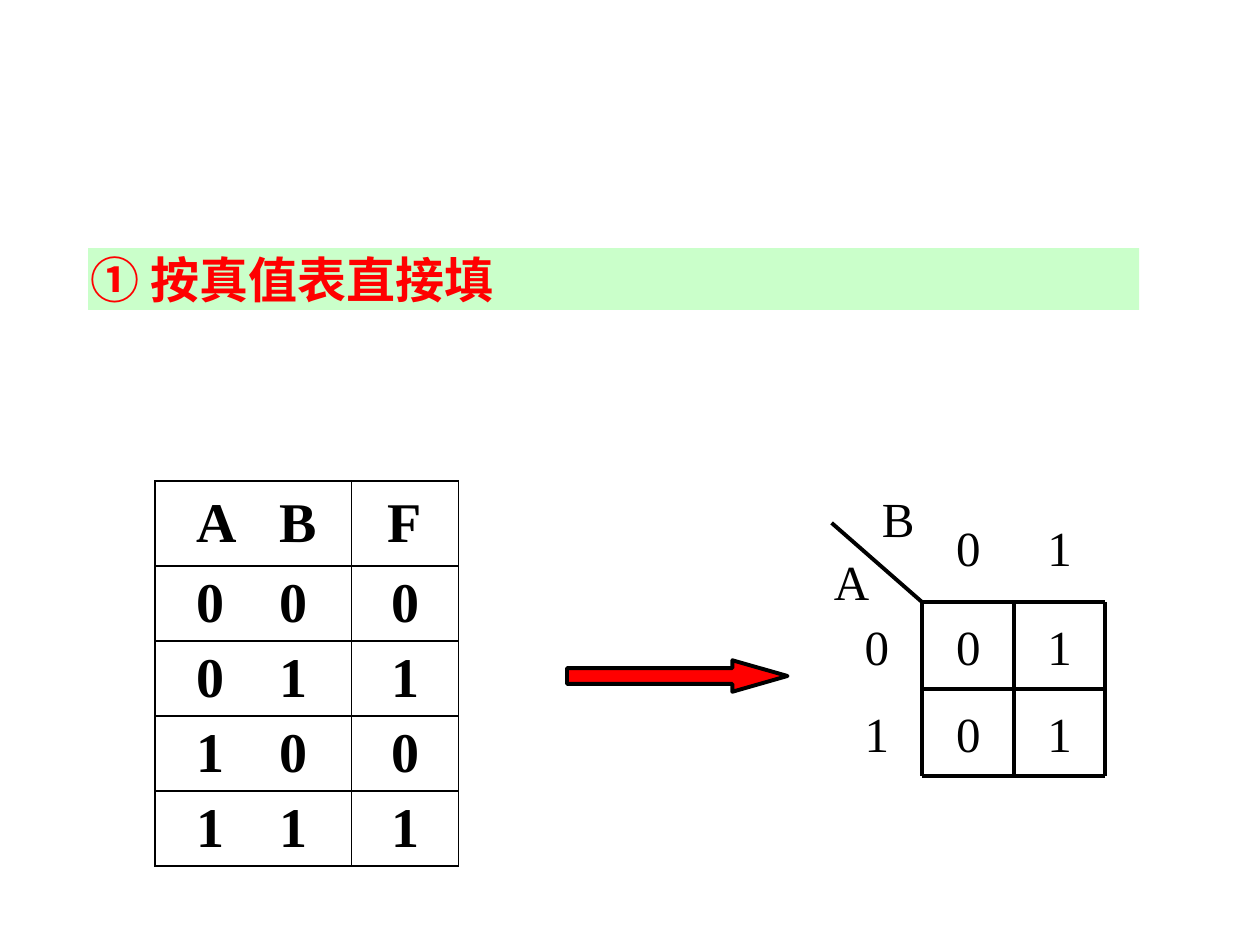
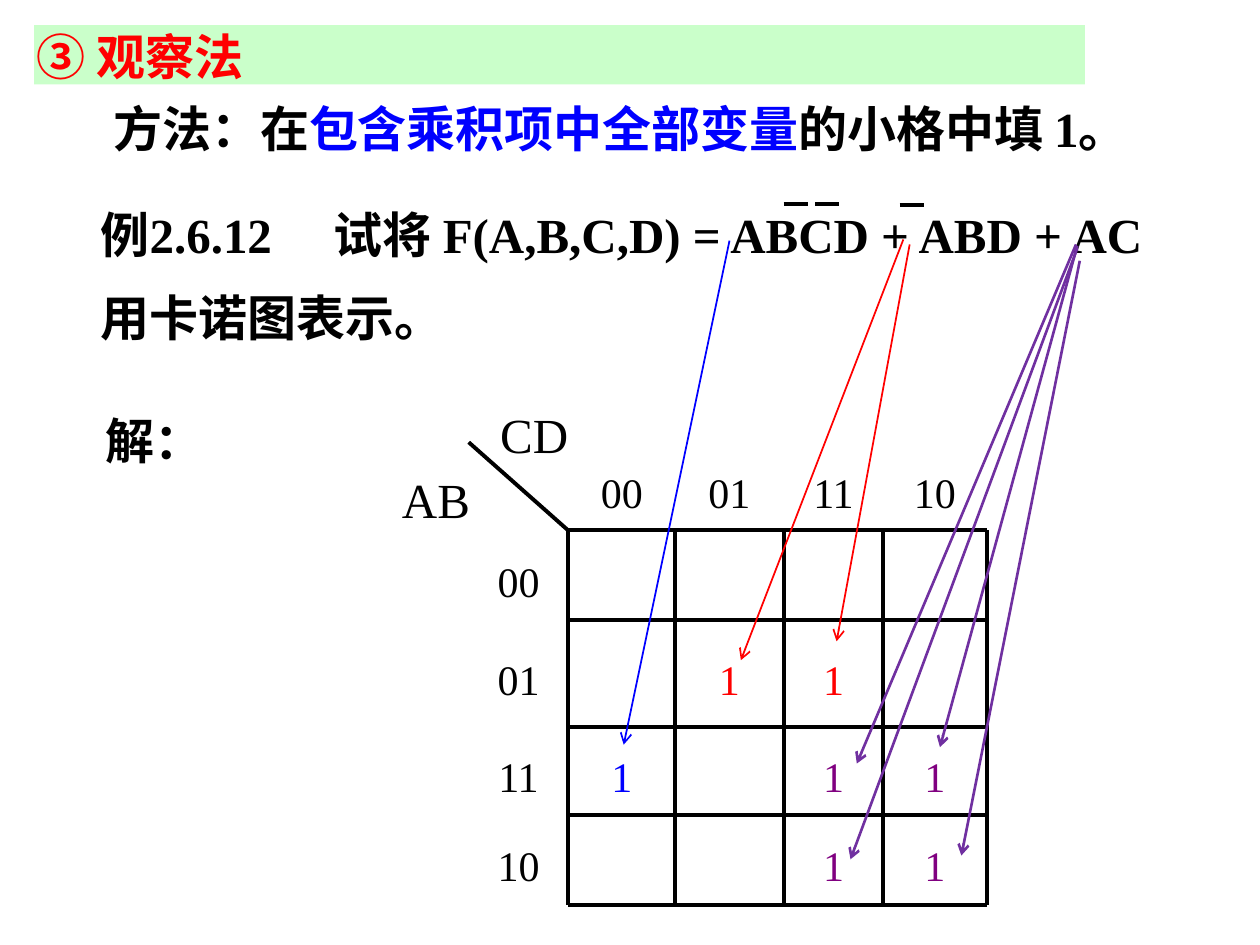
import itertools

import pptx
import pptx.dml.color
import pptx.enum.shapes
import pptx.enum.text
import pptx.oxml
import pptx.oxml.ns
import pptx.util

Inches = pptx.util.Inches
Pt = pptx.util.Pt
qn = pptx.oxml.ns.qn
ALIGN = pptx.enum.text.PP_ALIGN
ANCHOR = pptx.enum.text.MSO_ANCHOR

FONT = "Times New Roman"
COLORS = {
    "ink": "000000",
    "band": "CAFFCA",
    "red": "FF0000",
    "blue": "0000FF",
    "purple": "800080",
    "violet": "7030A0",
}


def rgb(name):
    return pptx.dml.color.RGBColor.from_string(COLORS[name])


def element(tag, parent, **attrs):
    el = parent.makeelement(qn(tag), attrs)
    parent.append(el)
    return el


def set_insets(target, x, y):
    target.margin_left = target.margin_right = Inches(x)
    target.margin_top = target.margin_bottom = Inches(y)


def style_run(r, size, color="ink", bold=False):
    r.font.name = FONT
    r.font.size = Pt(size)
    r.font.bold = bold
    r.font.color.rgb = rgb(color)


def add_tab(p, position):
    tabs = element("a:tabLst", p._p.get_or_add_pPr())
    element("a:tab", tabs, pos=str(Inches(position)), algn="l")


def add_text(s, box, parts, size=28, bold=False, insets=(0.02, 0),
             align=ALIGN.LEFT, anchor=ANCHOR.TOP, spacing=None, tab=None):
    tf = s.shapes.add_textbox(*map(Inches, box)).text_frame
    tf.word_wrap = True
    tf.vertical_anchor = anchor
    set_insets(tf, *insets)
    p = tf.paragraphs[0]
    p.alignment = align
    if spacing:
        p.line_spacing = spacing
    if tab:
        add_tab(p, tab)
    for text, color in parts:
        r = p.add_run()
        r.text = text
        style_run(r, size, color, bold)


def add_line(s, start, end, color="ink", width=2.25, arrow=False):
    c = s.shapes.add_connector(pptx.enum.shapes.MSO_CONNECTOR.STRAIGHT,
                               *map(Inches, (*start, *end)))
    c.line.color.rgb = rgb(color)
    c.line.width = Pt(width)
    sp_pr = c.element.spPr
    if arrow:
        element("a:tailEnd", sp_pr.find(qn("a:ln")), type="arrow")
    element("a:effectLst", sp_pr)


def add_titled_slide(prs, title, box):
    s = prs.slides.add_slide(prs.slide_layouts[5])
    sp = s.shapes.title
    sp.left, sp.top, sp.width, sp.height = map(Inches, box)
    sp.fill.solid()
    sp.fill.fore_color.rgb = rgb("band")
    tf = sp.text_frame
    tf.text = title
    tf.auto_size = pptx.enum.text.MSO_AUTO_SIZE.NONE
    tf.vertical_anchor = ANCHOR.TOP
    set_insets(tf, 0.02, 0.01)
    p = tf.paragraphs[0]
    p.alignment = ALIGN.LEFT
    style_run(p.runs[0], 28, "red", True)
    return s


def add_truth_table(s, left, top, rows):
    widths, heights = (1.56, 0.85), (0.67, 0.6, 0.58, 0.58, 0.58)
    frame = s.shapes.add_table(len(rows), 2, *map(
        Inches, (left, top, sum(widths), sum(heights))))
    table = frame.table
    table.first_row = table.horz_banding = False
    for column, width in zip(table.columns, widths):
        column.width = Inches(width)
    for row, height in zip(table.rows, heights):
        row.height = Inches(height)
    for i, (inputs, output) in enumerate(rows):
        for j, text in enumerate(("\t".join(inputs), output)):
            cell = table.cell(i, j)
            tc_pr = cell._tc.get_or_add_tcPr()
            for side in "LRTB":
                ln = element(f"a:ln{side}", tc_pr, w=str(Pt(1.08)))
                element("a:srgbClr", element("a:solidFill", ln), val=COLORS["ink"])
            cell.fill.background()
            cell.vertical_anchor = ANCHOR.MIDDLE
            set_insets(cell, 0.02, 0.05)
            cell.text = text
            p = cell.text_frame.paragraphs[0]
            if j == 0:
                cell.margin_left = Inches(0.33)
                add_tab(p, 0.66)
            else:
                p.alignment = ALIGN.CENTER
            style_run(p.runs[0], 32, bold=True)


def add_karnaugh_map(s, left, top, widths, heights, codes, ones, corner,
                     size, spacing=None, diagonal_drop=0, corner_insets=(0.02, 0)):
    xs = list(itertools.accumulate(widths, initial=left))
    ys = list(itertools.accumulate(heights, initial=top))
    entries = dict(ones)
    for i, code in enumerate(codes, 1):
        entries[0, i] = entries[i, 0] = (code, "ink")
    for (row, col), entry in entries.items():
        add_text(s, (xs[col], ys[row], widths[col], heights[row]), [entry],
                 size, insets=(0.02, 0.02), align=ALIGN.CENTER,
                 anchor=ANCHOR.MIDDLE, spacing=spacing)
    for x in xs[1:]:
        add_line(s, (x, ys[1]), (x, ys[-1]))
    for y in ys[1:]:
        add_line(s, (xs[1], y), (xs[-1], y))
    add_line(s, (left, top + diagonal_drop), (xs[1], ys[1]))
    for name, dx, dy, width, height in corner:
        add_text(s, (left + dx, top + dy, width, height), [(name, "ink")],
                 insets=corner_insets)


def add_result_arrow(s, left, top, width, height):
    sp = s.shapes.add_shape(pptx.enum.shapes.MSO_SHAPE.RIGHT_ARROW,
                            *map(Inches, (left, top, width, height)))
    sp.adjustments[0], sp.adjustments[1] = 0.5, 1.75
    sp.shadow.inherit = False
    sp.fill.solid()
    sp.fill.fore_color.rgb = rgb("red")
    sp.line.color.rgb = rgb("ink")
    sp.line.width = Pt(2.25)


def add_example(s, left, top):
    question = "例2.6.12\t试将 F(A,B,C,D) = ABCD + ABD + AC 用卡诺图表示。"
    add_text(s, (left, top, 8.3, 1.31), [(question, "ink")], bold=True,
             insets=(0, 0), spacing=1.4, tab=1.85)
    for dx, dy in ((5.42, 0.18), (5.67, 0.18), (6.34, 0.19)):
        add_line(s, (left + dx, top + dy), (left + dx + 0.19, top + dy))


def add_term_arrows(s):
    arrows = (
        ("blue", 1, (5.79, 1.91), (4.95, 5.91)),
        ("red", 1, (7.17, 1.9), (5.88, 5.24)),
        ("red", 1, (7.22, 1.94), (6.64, 5.09)),
        ("violet", 1.5, (8.54, 1.94), (6.8, 6.06)),
        ("violet", 1.5, (8.55, 1.95), (7.46, 5.93)),
        ("violet", 1.5, (8.55, 1.97), (6.75, 6.82)),
        ("violet", 1.5, (8.57, 2.07), (7.63, 6.79)),
    )
    for color, width, start, end in arrows:
        add_line(s, start, end, color, width, arrow=True)


def build_truth_table_slide(prs):
    s = add_titled_slide(prs, "① 按真值表直接填", (0.7, 1.97, 8.34, 0.49))
    add_truth_table(s, 1.23, 3.82,
                    [("AB", "F"), ("00", "0"), ("01", "1"), ("10", "0"), ("11", "1")])
    add_result_arrow(s, 4.5, 5.24, 1.75, 0.25)
    values = {(row, col): (str(col - 1), "ink") for row in (1, 2) for col in (1, 2)}
    add_karnaugh_map(s, 6.6, 3.9, (0.72, 0.73, 0.72), (0.88, 0.69, 0.69),
                     ("0", "1"), values,
                     (("A", -0.08, 0.43, 0.45, 0.57), ("B", 0.3, -0.07, 0.45, 0.57)),
                     28, diagonal_drop=0.25, corner_insets=(0.1, 0.05))


def build_observation_slide(prs):
    s = add_titled_slide(prs, "③ 观察法", (0.27, 0.2, 8.34, 0.47))
    add_text(s, (0.88, 0.78, 8.34, 0.93),
             [("方法：在", "ink"), ("包含乘积项中全部变量", "blue"),
              ("的小格中填 1。", "ink")], bold=True)
    add_example(s, 0.8, 1.44)
    add_text(s, (0.82, 3.26, 0.85, 0.47), [("解：", "ink")], bold=True)
    terms = {"red": ((2, 2), (2, 3)), "blue": ((3, 1),),
             "purple": ((3, 3), (3, 4), (4, 3), (4, 4))}
    ones = {cell: ("1", color) for color, cells in terms.items() for cell in cells}
    add_karnaugh_map(s, 3.72, 3.51, (0.79, 0.85, 0.86, 0.79, 0.82),
                     (0.7, 0.71, 0.85, 0.7, 0.71), ("00", "01", "11", "10"), ones,
                     (("AB", -0.55, 0.22, 1.22, 0.47), ("CD", 0.23, -0.3, 1.22, 0.47)),
                     24, spacing=1.2)
    add_term_arrows(s)


def main():
    prs = pptx.Presentation()
    prs.slide_width, prs.slide_height = Inches(10), Inches(7.5)
    build_truth_table_slide(prs)
    build_observation_slide(prs)
    prs.save("out.pptx")


if __name__ == "__main__":
    main()
